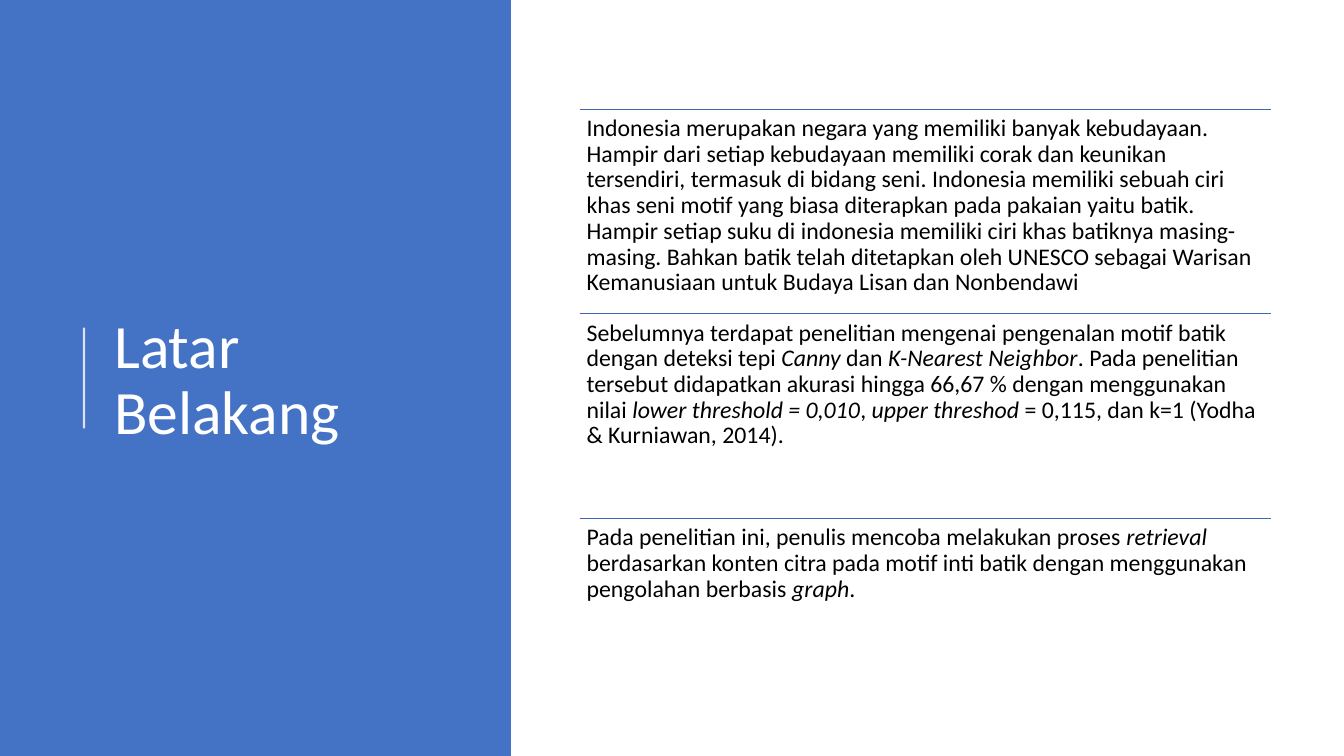
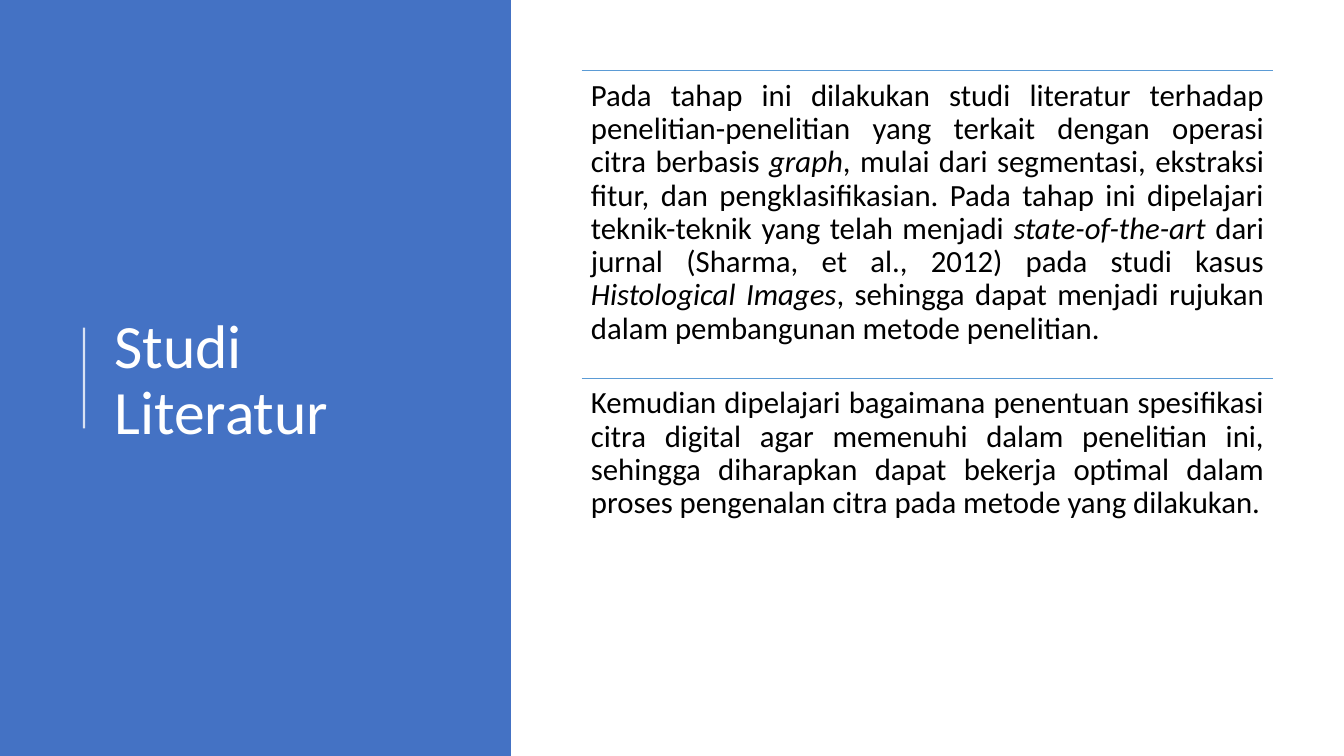
import pptx
import pptx.util
import pptx.dml.color
import pptx.enum.shapes
import pptx.enum.text
import pptx.oxml
import pptx.oxml.ns
from lxml import etree

Pt = pptx.util.Pt
ALIGN = pptx.enum.text.PP_ALIGN
ANCHOR = pptx.enum.text.MSO_ANCHOR
FONT = "Calibri"
BLUE = "4472C4"
WHITE = "FFFFFF"
BLACK = "000000"
WIDE, HIGH = 960, 540
BAND = 365
TEXT_W = 494


def color(code):
    return pptx.dml.color.RGBColor.from_string(code)


def add_line(slide, x1, y1, x2, y2, code, weight, alpha=100):
    line = slide.shapes.add_connector(
        pptx.enum.shapes.MSO_CONNECTOR.STRAIGHT, Pt(x1), Pt(y1), Pt(x2), Pt(y2))
    line.line.color.rgb = color(code)
    line.line.width = Pt(weight)
    props = line._element.spPr
    if alpha < 100:
        fill = props.find(".//" + pptx.oxml.ns.qn("a:srgbClr"))
        etree.SubElement(fill, pptx.oxml.ns.qn("a:alpha"), val=str(alpha * 1000))
    etree.SubElement(props, pptx.oxml.ns.qn("a:effectLst"))


def add_text(slide, x, y, w, h, runs, size, code, inset, align, anchor):
    """Add a one-paragraph box; every second run is italic."""
    frame = slide.shapes.add_textbox(Pt(x), Pt(y), Pt(w), Pt(h)).text_frame
    frame.word_wrap = True
    frame.vertical_anchor = anchor
    frame.margin_left = frame.margin_right = Pt(inset[0])
    frame.margin_top = frame.margin_bottom = Pt(inset[1])
    para = frame.paragraphs[0]
    para.alignment = align
    para.line_spacing = 0.9
    for i, words in enumerate(runs):
        run = para.add_run()
        run.text = words
        run.font.name = FONT
        run.font.size = Pt(size)
        run.font.italic = i % 2 == 1
        run.font.color.rgb = color(code)


# Each text is a list of runs: plain, italic, plain, ...
PAGES = [
    dict(title="Latar Belakang", left=414, top=77.8, pitch=146.2, rule="3E67B2",
         size=17, inset=5, align=ALIGN.LEFT, texts=[
             ["Indonesia merupakan negara yang memiliki banyak kebudayaan. "
              "Hampir dari setiap kebudayaan memiliki corak dan keunikan "
              "tersendiri, termasuk di bidang seni. Indonesia memiliki sebuah "
              "ciri khas seni motif yang biasa diterapkan pada pakaian yaitu "
              "batik. Hampir setiap suku di indonesia memiliki ciri khas "
              "batiknya masing-masing. Bahkan batik telah ditetapkan oleh "
              "UNESCO sebagai Warisan Kemanusiaan untuk Budaya Lisan dan "
              "Nonbendawi"],
             ["Sebelumnya terdapat penelitian mengenai pengenalan motif batik "
              "dengan deteksi tepi ", "Canny", " dan ", "K-Nearest Neighbor",
              ". Pada penelitian tersebut didapatkan akurasi hingga 66,67 % "
              "dengan menggunakan nilai ", "lower threshold = 0,010", ", ",
              "upper threshod",
              " = 0,115, dan k=1 (Yodha & Kurniawan, 2014)."],
             ["Pada penelitian ini, penulis mencoba melakukan proses ",
              "retrieval",
              " berdasarkan konten citra pada motif inti batik dengan "
              "menggunakan pengolahan berbasis ", "graph", "."],
         ]),
    dict(title="Studi Literatur", left=415.5, top=50.4, pitch=219.6, rule="5B9BD5",
         size=22, inset=6.6, align=ALIGN.JUSTIFY, texts=[
             ["Pada tahap ini dilakukan studi literatur terhadap "
              "penelitian-penelitian yang terkait dengan operasi citra "
              "berbasis ", "graph",
              ", mulai dari segmentasi, ekstraksi fitur, dan "
              "pengklasifikasian. Pada tahap ini dipelajari teknik-teknik "
              "yang telah menjadi ", "state-of-the-art",
              " dari jurnal (Sharma, et al., 2012) pada studi kasus ",
              "Histological Images",
              ", sehingga dapat menjadi rujukan dalam pembangunan metode "
              "penelitian."],
             ["Kemudian dipelajari bagaimana penentuan spesifikasi citra "
              "digital agar memenuhi dalam penelitian ini, sehingga "
              "diharapkan dapat bekerja optimal dalam proses pengenalan citra "
              "pada metode yang dilakukan."],
         ]),
]

deck = pptx.Presentation()
deck.slide_width, deck.slide_height = Pt(WIDE), Pt(HIGH)

for page in PAGES:
    slide = deck.slides.add_slide(deck.slide_layouts[6])

    band = slide.shapes.add_shape(
        pptx.enum.shapes.MSO_SHAPE.RECTANGLE, 0, 0, Pt(BAND), Pt(HIGH))
    band.shadow.inherit = False
    band.fill.solid()
    band.fill.fore_color.rgb = color(BLUE)
    band.line.fill.background()
    add_line(slide, 60, 306, 60, 234, WHITE, 1.5, alpha=80)
    add_text(slide, 74.5, 56, 260, 433, [page["title"]], 44, WHITE,
             (7.2, 3.6), ALIGN.LEFT, ANCHOR.MIDDLE)

    left, inset = page["left"], page["inset"]
    for i, runs in enumerate(page["texts"]):
        y = page["top"] + i * page["pitch"]
        add_line(slide, left, y, left + TEXT_W, y, page["rule"], 0.5)
        add_text(slide, left, y, TEXT_W, page["pitch"], runs, page["size"],
                 BLACK, (inset, inset), page["align"], ANCHOR.TOP)

deck.save("out.pptx")
